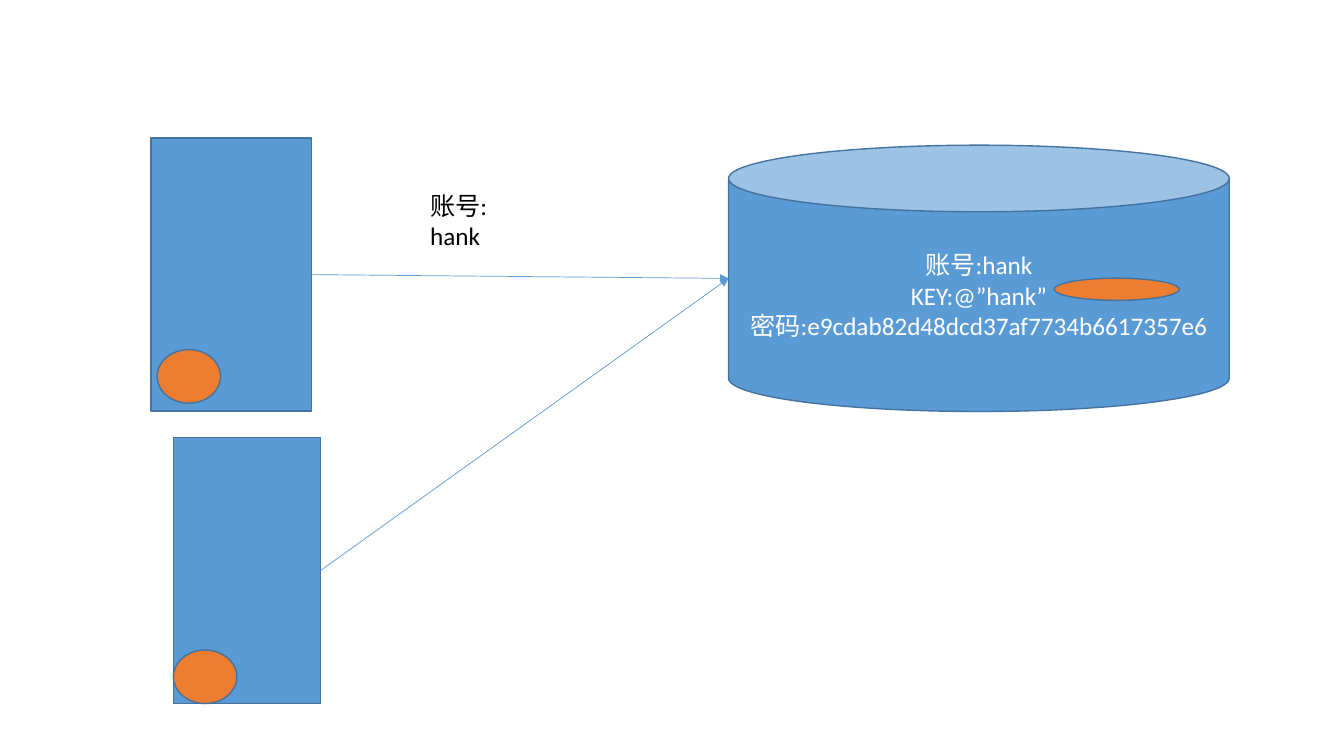
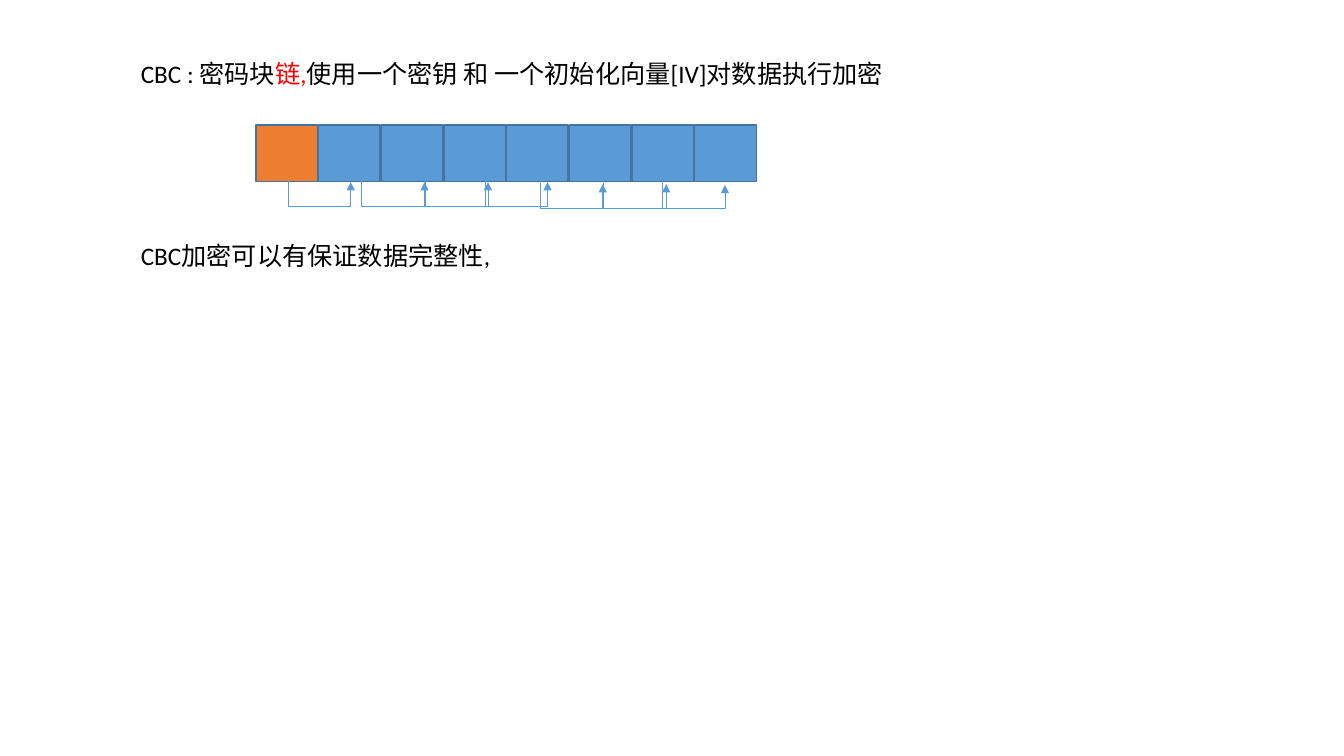
from lxml import etree
from pptx import Presentation
from pptx.dml.color import RGBColor
from pptx.enum.shapes import MSO_CONNECTOR, MSO_SHAPE
from pptx.enum.text import MSO_ANCHOR, PP_ALIGN
from pptx.oxml.ns import qn
from pptx.util import Cm, Pt

RECT, CAN, OVAL = MSO_SHAPE.RECTANGLE, MSO_SHAPE.CAN, MSO_SHAPE.OVAL
STRAIGHT, ELBOW = MSO_CONNECTOR.STRAIGHT, MSO_CONNECTOR.ELBOW
LEFT, CENTER = PP_ALIGN.LEFT, PP_ALIGN.CENTER

THEME = {
    "font": "Calibri",
    "size": Pt(18),
    "gap": Pt(108),
    "outline": Pt(1),
    "arrow": Pt(0.5),
    "blue": RGBColor.from_string("5B9BD5"),
    "edge": RGBColor.from_string("43739E"),
    "orange": RGBColor.from_string("ED7D31"),
    "white": RGBColor.from_string("FFFFFF"),
    "black": RGBColor.from_string("000000"),
    "red": RGBColor.from_string("FF0000"),
}


def add_block(s, kind, x, y, w, h, fill):
    sp = s.shapes.add_shape(kind, Cm(x), Cm(y), Cm(w), Cm(h))
    sp.shadow.inherit = False
    sp.fill.solid()
    sp.fill.fore_color.rgb = THEME[fill]
    sp.line.color.rgb = THEME["edge"]
    sp.line.width = THEME["outline"]
    return sp


def add_arrow(s, kind, x1, y1, x2, y2):
    cx = s.shapes.add_connector(kind, x1, y1, x2, y2)
    cx.line.color.rgb = THEME["blue"]
    cx.line.width = THEME["arrow"]
    etree.SubElement(cx.line._get_or_add_ln(), qn("a:tailEnd"), type="triangle")
    etree.SubElement(cx.element.spPr, qn("a:effectLst"))
    return cx


prs = Presentation()
prs.slide_width, prs.slide_height = Cm(33.87), Cm(19.05)
blank = prs.slide_layouts[6]

s = prs.slides.add_slide(blank)
clients = [
    add_block(s, RECT, 3.81, 3.48, 4.04, 6.88, "blue"),
    add_block(s, RECT, 4.37, 11.02, 3.71, 6.71, "blue"),
]
server = add_block(s, CAN, 18.36, 3.66, 12.62, 6.71, "blue")
server.text_frame.vertical_anchor = MSO_ANCHOR.MIDDLE
for client in clients:
    add_arrow(s, STRAIGHT, client.left + client.width, client.top + client.height // 2,
              server.left, server.top + server.height // 2)
for x, y, w, h in [(26.57, 7.01, 3.15, 0.56), (3.96, 8.81, 1.6, 1.35), (4.37, 16.38, 1.6, 1.35)]:
    add_block(s, OVAL, x, y, w, h, "orange")
account = s.shapes.add_textbox(Cm(10.59), Cm(4.67), Cm(2.8), Cm(1.02))

s = prs.slides.add_slide(blank)
notes = s.shapes.add_textbox(Cm(3.3), Cm(1.35), Cm(27.86), Cm(6.4))
pitch = 1.58
for i in range(8):
    add_block(s, RECT, 6.45 + i * pitch, 3.15, 1.55, 1.42, "blue" if i else "orange")

rise, depth = 0.04, 0.64
links = [(7.26, 4.55), (9.12, 4.55), (10.72, 4.55), (12.22, 4.55),
         (13.61, 4.6), (15.21, 4.6), (16.69, 4.62)]
for x, y in links:
    mid_x, mid_y = x + pitch / 2, y + rise / 2
    cx = add_arrow(s, ELBOW, Cm(mid_x + rise / 2), Cm(mid_y - pitch / 2),
                   Cm(mid_x - rise / 2), Cm(mid_y + pitch / 2))
    cx.element.spPr.find(qn("a:xfrm")).set("rot", str(270 * 60000))
    guides = cx.element.spPr.find(qn("a:prstGeom")).find(qn("a:avLst"))
    bend = round(depth / rise * 100000)
    etree.SubElement(guides, qn("a:gd"), name="adj1", fmla=f"val {bend}")

texts = [
    (server, CENTER, 0, [
        [("账号:hank", "white")],
        [("KEY:@”hank”", "white")],
        [("密码:e9cdab82d48dcd37af7734b6617357e6", "white")],
    ]),
    (account, LEFT, 0, [[("账号: hank", "black")]]),
    (notes, LEFT, THEME["gap"], [
        [("CBC : 密码块", "black"), ("链,", "red"),
         ("使用一个密钥 和 一个初始化向量[IV]对数据执行加密", "black")],
        [("CBC加密可以有保证数据完整性,", "black")],
    ]),
]
for sp, align, gap, paragraphs in texts:
    tf = sp.text_frame
    tf.word_wrap = True
    for i, runs in enumerate(paragraphs):
        p = tf.add_paragraph() if i else tf.paragraphs[0]
        p.alignment = align
        p.space_before = gap if i else 0
        for text, color in runs:
            r = p.add_run()
            r.text = text
            r.font.name = THEME["font"]
            r.font.size = THEME["size"]
            r.font.color.rgb = THEME[color]

prs.save("out.pptx")
